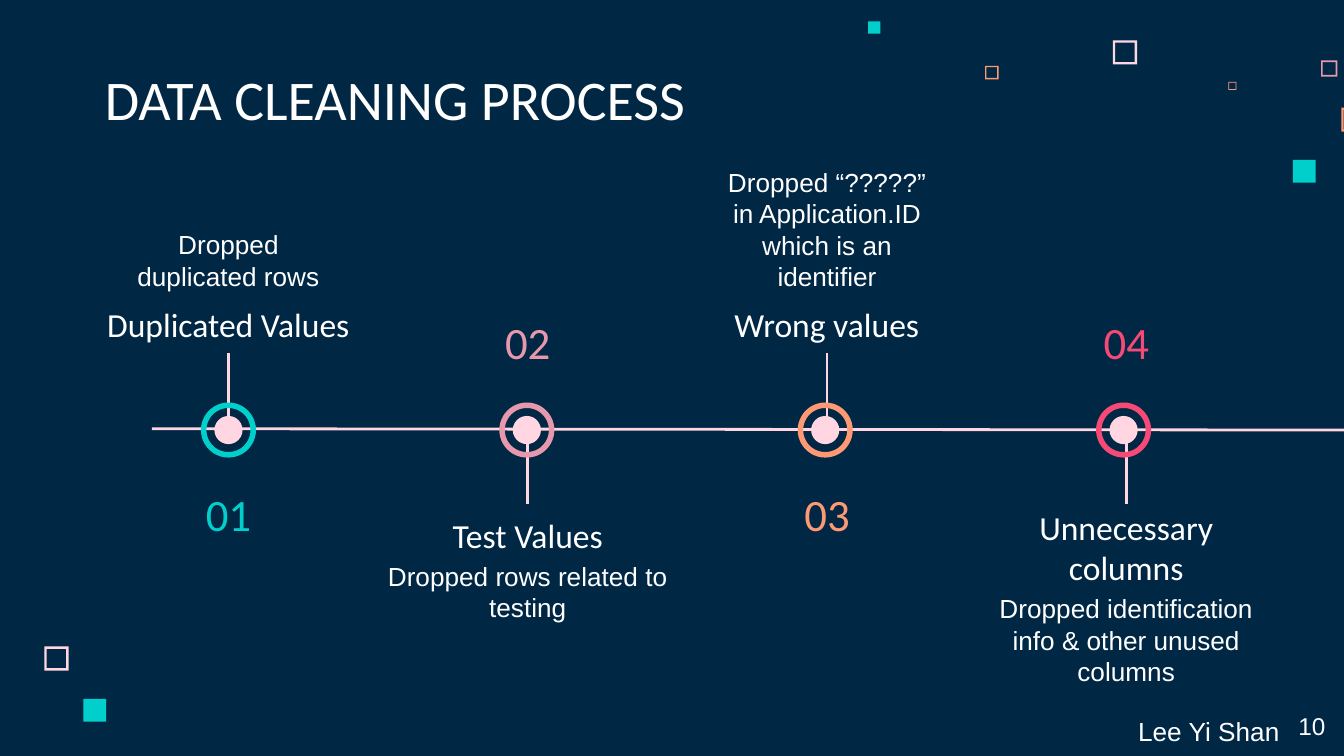
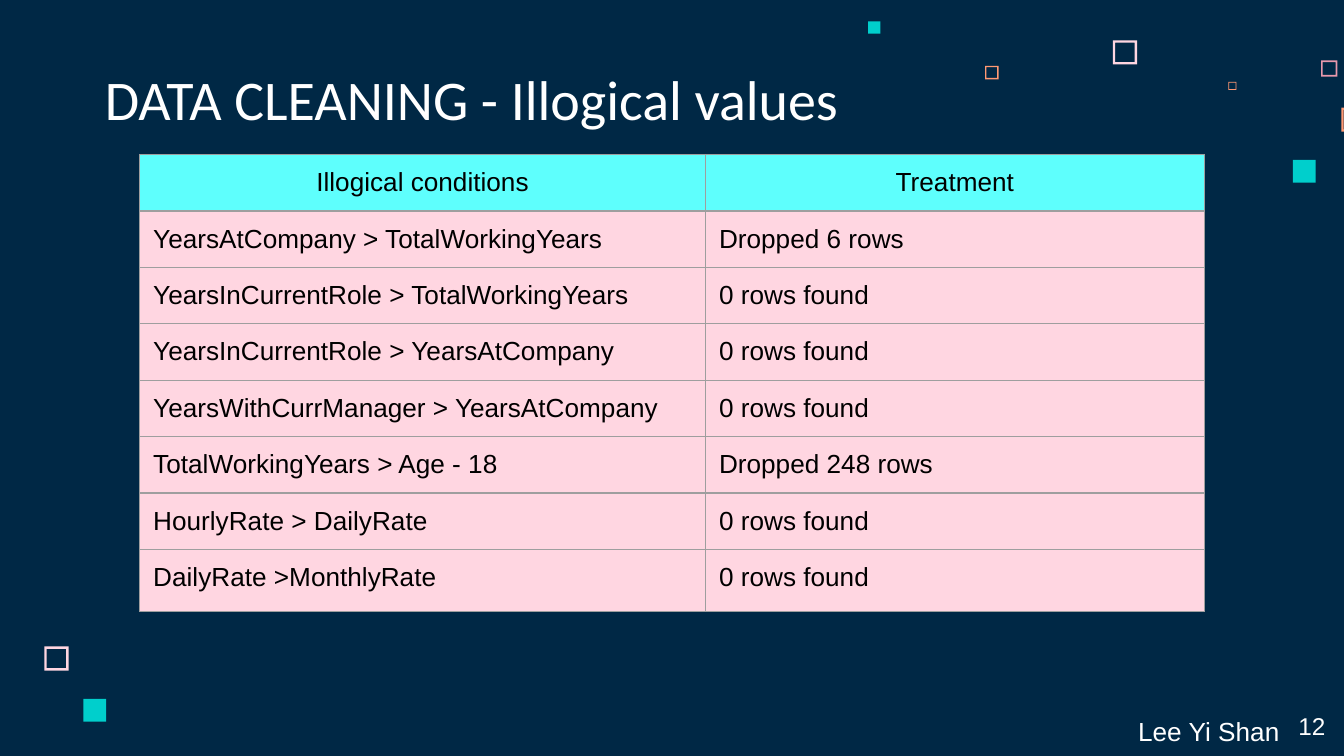
from dataclasses import dataclass

import pptx
import pptx.dml.color
import pptx.enum.dml
import pptx.enum.shapes
import pptx.enum.text
import pptx.oxml
import pptx.oxml.ns
import pptx.util

ANCHOR = pptx.enum.text.MSO_ANCHOR
ALIGN = pptx.enum.text.PP_ALIGN
SHAPE = pptx.enum.shapes.MSO_SHAPE

WIDTH = pptx.util.Inches(10)
HEIGHT = WIDTH * 9 // 16
COLUMNS = 10


@dataclass(frozen=True)
class Theme:
    background: str = "002845"
    white: str = "FFFFFF"
    black: str = "000000"
    blush: str = "FFD6E1"
    rose: str = "E898AC"
    orange: str = "FF9973"
    teal: str = "00CFCC"
    red: str = "F64975"
    header: str = "5EFFFD"
    border: str = "9E9E9E"
    heading_font: str = "Calibri"
    body_font: str = "Arial"
    title_size: int = 30
    number_size: int = 24
    step_size: int = 18
    body_size: int = 14
    page_size: int = 13
    line_width: float = 1.5
    border_width: float = 0.75


T = Theme()

# left, top, size, colour, hollow
SQUARES = [
    (8.28, 0.3, 0.18, T.blush, True),
    (9.83, 0.45, 0.12, T.rose, True),
    (9.14, 0.61, 0.06, T.orange, True),
    (9.98, 0.8, 0.18, T.orange, True),
    (9.62, 1.19, 0.17, T.teal, False),
    (7.33, 0.49, 0.1, T.orange, True),
    (6.46, 0.16, 0.09, T.teal, False),
    (0.33, 4.81, 0.18, T.blush, True),
    (0.62, 5.2, 0.17, T.teal, False),
]

# title, description, colour, title height, description width and height
STEPS = [
    ("Duplicated Values", "Dropped duplicated rows", T.teal, 0.47, 1.8, 0.71),
    ("Test Values", "Dropped rows related to testing", T.rose, 0.47, 2.31, 0.71),
    ("Wrong values", "Dropped “?????” in Application.ID which is an identifier",
     T.orange, 0.47, 1.71, 1.08),
    ("Unnecessary columns", "Dropped identification info & other unused columns",
     T.red, 0.71, 2.4, 0.71),
]
FIRST_STEP = 1.7
LABEL_PITCH = 6.68 / 3
NODE_PITCH = 2.22
AXIS = 3.2

CONDITIONS = [
    ("Illogical conditions", "Treatment"),
    ("YearsAtCompany > TotalWorkingYears", "Dropped 6 rows"),
    ("YearsInCurrentRole > TotalWorkingYears", "0 rows found"),
    ("YearsInCurrentRole > YearsAtCompany", "0 rows found"),
    ("YearsWithCurrManager > YearsAtCompany", "0 rows found"),
    ("TotalWorkingYears > Age - 18", "Dropped 248 rows"),
    ("HourlyRate > DailyRate", "0 rows found"),
    ("DailyRate >MonthlyRate", "0 rows found"),
]


def grid(*values):
    """Turn grid columns into slide lengths."""
    return [round(v * WIDTH / COLUMNS) for v in values]


def rgb(colour):
    return pptx.dml.color.RGBColor.from_string(colour)


def set_all(obj, **values):
    for name, value in values.items():
        setattr(obj, name, value)


def paint(sp, colour):
    sp.shadow.inherit = False
    sp.fill.solid()
    sp.fill.fore_color.rgb = rgb(colour)
    sp.line.fill.background()


def write(tf, text, font, size, colour, anchor=ANCHOR.TOP, **paragraph):
    margin, = grid(0.1)
    set_all(tf, word_wrap=True, auto_size=pptx.enum.text.MSO_AUTO_SIZE.NONE,
            vertical_anchor=anchor, margin_left=margin, margin_right=margin,
            margin_top=margin, margin_bottom=margin)
    p = tf.paragraphs[0]
    set_all(p, **paragraph)
    r = p.add_run()
    r.text = text
    set_all(r.font, name=font, size=pptx.util.Pt(size))
    r.font.color.rgb = rgb(colour)


def add_text(slide, box, *args, **paragraph):
    sp = slide.shapes.add_textbox(*grid(*box))
    write(sp.text_frame, *args, **paragraph)


def add_line(slide, *ends):
    line = slide.shapes.add_connector(
        pptx.enum.shapes.MSO_CONNECTOR.STRAIGHT, *grid(*ends))
    line.line.color.rgb = rgb(T.blush)
    line.line.width = pptx.util.Pt(T.line_width)
    line.element.spPr.append(pptx.oxml.parse_xml(
        f'<a:effectLst {pptx.oxml.ns.nsdecls("a")}/>'))


def add_square(slide, left, top, size, colour, hollow):
    if hollow:
        x, y, s = grid(left, top, size)
        t = s // 10
        outline = slide.shapes.build_freeform(x, y, scale=1.0)
        outline.add_line_segments([(x + s, y), (x + s, y + s), (x, y + s)])
        outline.move_to(x + t, y + t)
        outline.add_line_segments(
            [(x + t, y + s - t), (x + s - t, y + s - t), (x + s - t, y + t)])
        sp = outline.convert_to_shape()
    else:
        sp = slide.shapes.add_shape(SHAPE.RECTANGLE, *grid(left, top, size, size))
    paint(sp, colour)
    return sp


def decorate_layout(layout, slide):
    """Draw the squares on a slide, then move them to its layout."""
    for i, square in enumerate(SQUARES):
        element = add_square(slide, *square).element
        element.nvSpPr.cNvPr.set("id", str(100 + i))
        layout.shapes.element.append(element)


def set_title(slide, text, width):
    sp = slide.shapes.title
    left, top, width, height = grid(0.68, 0.45, width, 0.63)
    set_all(sp, left=left, top=top, width=width, height=height)
    write(sp.text_frame, text, T.heading_font, T.title_size, T.white,
          ANCHOR.BOTTOM, alignment=ALIGN.LEFT)


def add_footer(slide, page):
    add_text(slide, (9.36, 5.19, 0.6, 0.43), page, T.body_font, T.page_size,
             T.white, alignment=ALIGN.RIGHT)
    add_text(slide, (8.37, 5.19, 1.28, 0.43), "Lee Yi Shan", T.body_font,
             T.body_size, T.white, line_spacing=1.15,
             space_after=pptx.util.Pt(16))


def add_node(slide, x, colour):
    """Draw a dot inside a ring, grouped, centred on the axis."""
    group = slide.shapes.add_group_shape()
    for kind, size, fill in ((SHAPE.OVAL, 0.21, T.blush), (SHAPE.DONUT, 0.41, colour)):
        sp = group.shapes.add_shape(
            kind, *grid(x - size / 2, AXIS - size / 2, size, size))
        if kind == SHAPE.DONUT:
            sp.adjustments[0] = 0.1
        paint(sp, fill)


def add_step_text(slide, x, number, above, title, description, colour,
                  title_height, width, height):
    title_top = 2.16 if above else 3.76
    number_top = 3.59 if above else 2.31
    # The description stands over an upper title and hangs from a lower one.
    top = 2.27 - height if above else title_top + title_height - 0.16
    title_anchor, anchor = ((ANCHOR.TOP, ANCHOR.BOTTOM) if above
                            else (ANCHOR.BOTTOM, ANCHOR.TOP))
    texts = [
        (title, 2.06, title_top, title_height, T.heading_font, T.step_size,
         T.white, title_anchor),
        (description, width, top, height, T.body_font, T.body_size,
         T.white, anchor),
        (number, 1.41, number_top, 0.47, T.heading_font, T.number_size,
         colour, ANCHOR.MIDDLE),
    ]
    for text, w, y, h, *style in texts:
        add_text(slide, (x - w / 2, y, w, h), text, *style, alignment=ALIGN.CENTER)


def add_timeline(slide):
    labels = [FIRST_STEP + i * LABEL_PITCH for i in range(len(STEPS))]
    for i, x in enumerate(labels):
        top, bottom = (3.26, 3.75) if i % 2 else (2.63, 3.13)
        add_line(slide, x, top, x, bottom)
    add_line(slide, 1.13, 3.19, 10.04, AXIS)
    for i, step in enumerate(STEPS):
        add_node(slide, FIRST_STEP + i * NODE_PITCH, step[2])
    for i, (x, step) in enumerate(zip(labels, STEPS)):
        add_step_text(slide, x, f"{i + 1:02}", i % 2 == 0, *step)


def add_borders(cell):
    tc_pr = cell._tc.get_or_add_tcPr()
    for side in "LRTB":
        tc_pr.append(pptx.oxml.parse_xml(
            f'<a:ln{side} {pptx.oxml.ns.nsdecls("a")} '
            f'w="{pptx.util.Pt(T.border_width)}"><a:solidFill>'
            f'<a:srgbClr val="{T.border}"/></a:solidFill></a:ln{side}>'))


def add_table(slide, rows, column_widths, row_heights):
    frame = slide.shapes.add_table(
        len(rows), len(column_widths),
        *grid(1.04, 1.15, sum(column_widths), sum(row_heights)))
    table = frame.table
    set_all(table, first_row=False, horz_banding=False)
    for column, width in zip(table.columns, grid(*column_widths)):
        column.width = width
    for row, height in zip(table.rows, grid(*row_heights)):
        row.height = height
    margin, = grid(0.1)
    for i, row in enumerate(rows):
        for j, text in enumerate(row):
            cell = table.cell(i, j)
            add_borders(cell)
            cell.fill.solid()
            cell.fill.fore_color.rgb = rgb(T.blush if i else T.header)
            set_all(cell, margin_left=margin, margin_right=margin,
                    margin_top=margin, margin_bottom=margin)
            p = cell.text_frame.paragraphs[0]
            p.alignment = ALIGN.LEFT if i else ALIGN.CENTER
            r = p.add_run()
            r.text = text
            set_all(r.font, name=T.body_font, size=pptx.util.Pt(T.body_size))
            r.font.color.rgb = rgb(T.black)


def main():
    prs = pptx.Presentation()
    set_all(prs, slide_width=WIDTH, slide_height=HEIGHT)
    fill = prs.slide_master.background.fill
    fill.solid()
    fill.fore_color.rgb = rgb(T.background)
    layout = prs.slide_layouts.get_by_name("Title Only")

    slide = prs.slides.add_slide(layout)
    decorate_layout(layout, slide)
    set_title(slide, "DATA CLEANING PROCESS", 5.17)
    add_timeline(slide)
    add_footer(slide, "10")

    slide = prs.slides.add_slide(layout)
    set_title(slide, "DATA CLEANING - Illogical values", 5.89)
    add_table(slide, CONDITIONS, [4.21, 3.71], [0.42] * 7 + [0.46])
    add_footer(slide, "12")

    prs.save("out.pptx")


if __name__ == "__main__":
    main()
